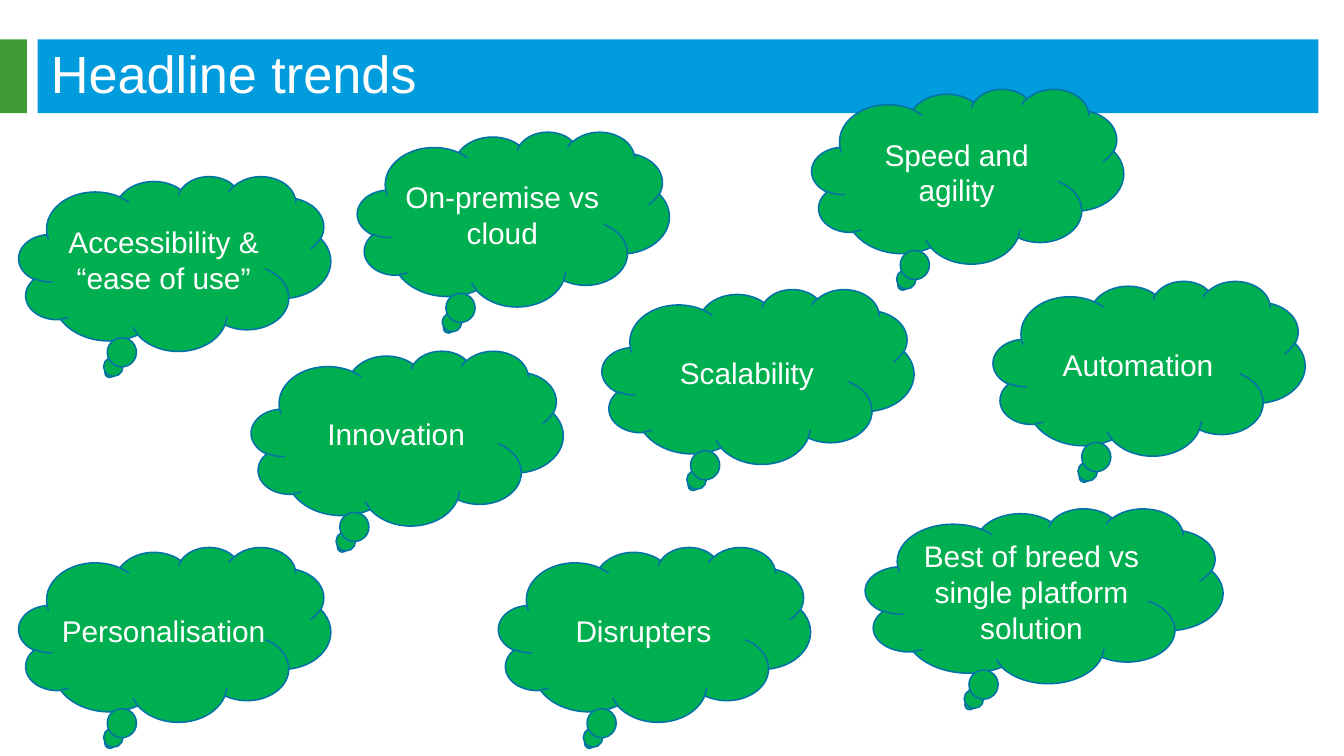
"""Build the "Headline trends" slide of thought clouds under a title band."""
from pptx import Presentation, util as u
from pptx.dml.color import RGBColor
from pptx.enum import shapes, text

BLUE = RGBColor(0x00, 0x9C, 0xDE)
LEAF = RGBColor(0x3F, 0x9C, 0x35)
GREEN = RGBColor(0x00, 0xB0, 0x50)
OUTLINE = RGBColor(0x00, 0x73, 0xA4)
WHITE = RGBColor(0xFF, 0xFF, 0xFF)

deck = Presentation()
deck.slide_width = u.Inches(10)
deck.slide_height = deck.slide_width * 9 // 16
column, row = deck.slide_width / 100, deck.slide_height / 100
slide = deck.slides.add_slide(deck.slide_layouts[6])


def place(left, top, width, height):
    return [int(left * column), int(top * row), int(width * column), int(height * row)]


def write(holder, words, size, align):
    frame = holder.text_frame
    frame.word_wrap = True
    frame.vertical_anchor = text.MSO_ANCHOR.MIDDLE
    frame.text = words
    paragraph = frame.paragraphs[0]
    paragraph.alignment = align
    font = paragraph.runs[0].font
    font.name, font.size, font.color.rgb = "Arial", u.Pt(size), WHITE
    return frame


for left, width, colour in [(2.8, 95.3, BLUE), (0, 2, LEAF)]:
    band = slide.shapes.add_shape(
        shapes.MSO_SHAPE.RECTANGLE, *place(left, 5.2, width, 9.78))
    band.shadow.inherit = False
    band.fill.solid()
    band.fill.fore_color.rgb = colour
    band.line.fill.background()

title = slide.shapes.add_textbox(*place(2.8, 6.93, 94.5, 5.33))
write(title, "Headline trends", 28, text.PP_ALIGN.LEFT)

trends = [
    ("Personalisation", 1.4, 72.36, 23.2),
    ("Automation", 73.9, 37.16, 23.2),
    ("Speed and agility", 60.4, 11.75, 23.2),
    ("Scalability", 44.8, 38.24, 23.2),
    ("On-premise vs cloud", 26.6, 17.42, 23.2),
    ("Best of breed vs single platform solution", 64.4, 67.25, 26.6),
    ("Innovation", 18.7, 46.4, 23.2),
    ("Disrupters", 37.1, 72.36, 23.2),
    ("Accessibility & “ease of use”", 1.4, 23.3, 23.2),
]
for trend, left, top, width in trends:
    cloud = slide.shapes.add_shape(
        shapes.MSO_SHAPE.CLOUD_CALLOUT, *place(left, top, width, 23.11))
    cloud.shadow.inherit = False
    cloud.fill.solid()
    cloud.fill.fore_color.rgb = GREEN
    cloud.line.color.rgb = OUTLINE
    cloud.line.width = u.Pt(0.85)
    frame = write(cloud, trend, 16, text.PP_ALIGN.CENTER)
    frame.margin_left = frame.margin_right = 0

deck.save("out.pptx")
